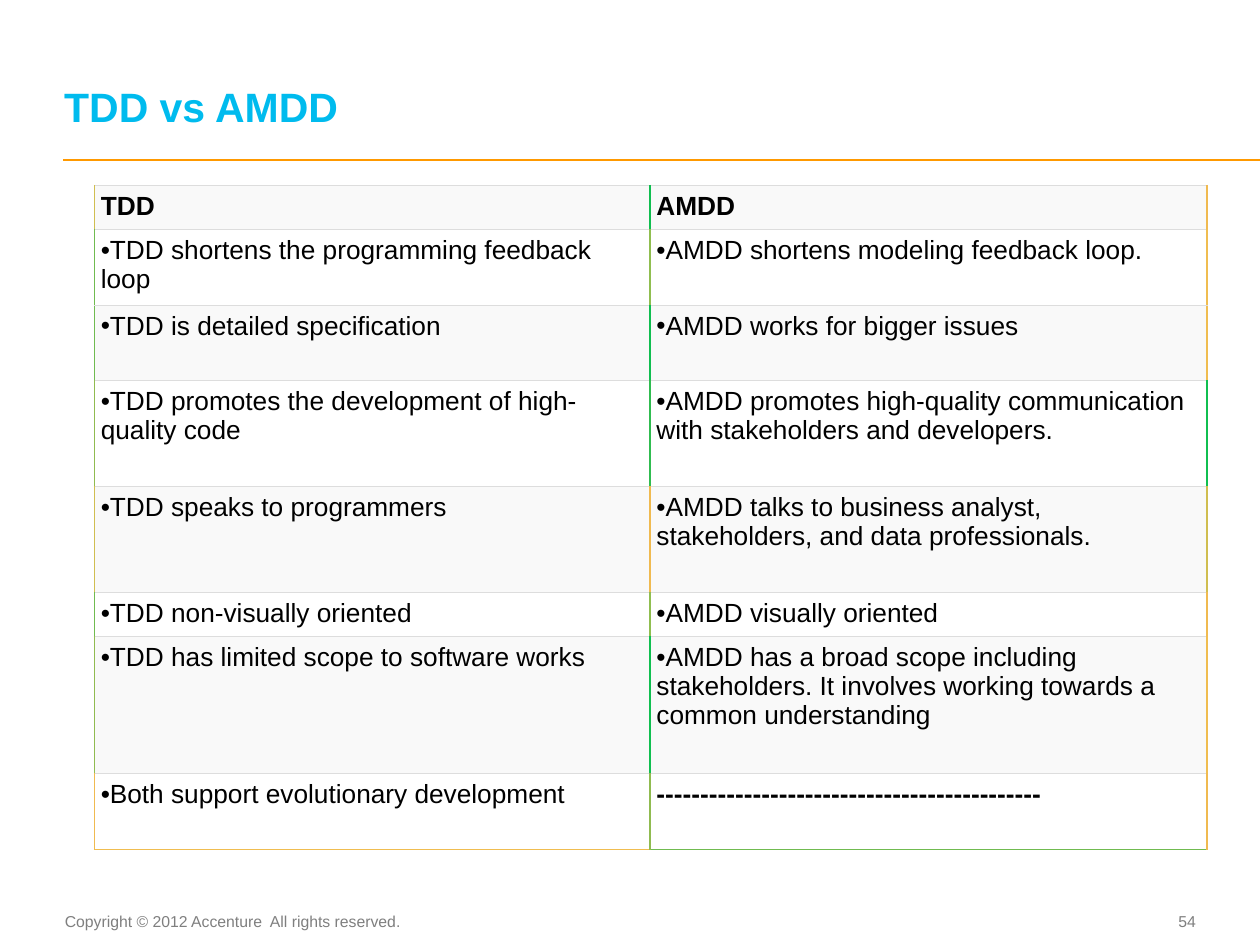
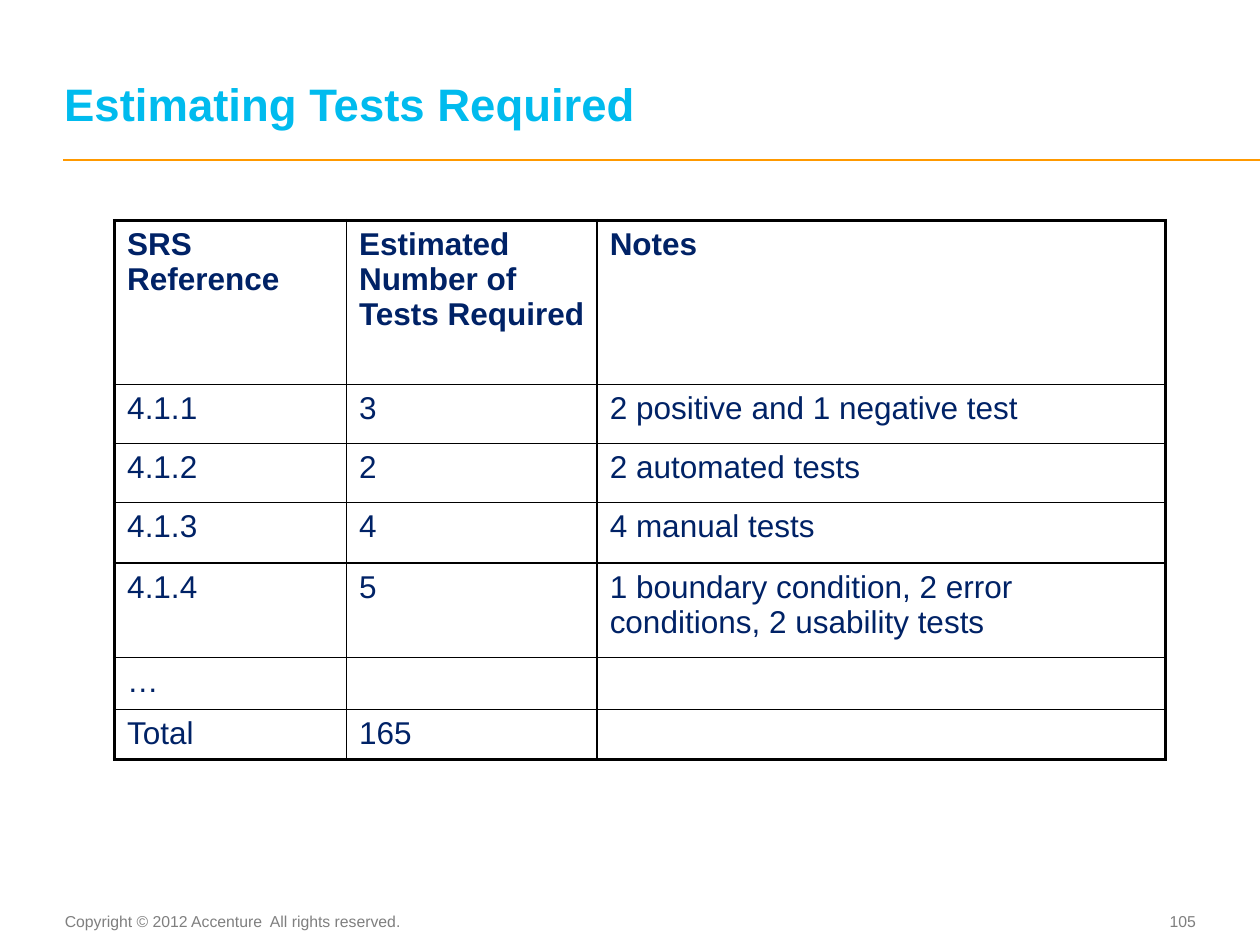
import pptx
import pptx.dml.color
import pptx.enum.shapes
import pptx.enum.text
import pptx.oxml
import pptx.util
from pptx.oxml.ns import nsdecls
from pptx.util import Inches

ALIGN = pptx.enum.text.PP_ALIGN
ANCHOR = pptx.enum.text.MSO_ANCHOR

CYAN, ORANGE, GREY, BLACK, NAVY = "00BBEE", "FF9900", "7F7F7F", "000000", "002266"
WHITE, PALE, RULE = "FFFFFF", "F9F9F9", "DDDDDD"
FONT = "Arial"
NOTICE = "Copyright © 2012 Accenture  All rights reserved."

VERSUS = [
    ("TDD", "AMDD"),
    ("TDD shortens the programming feedback loop",
     "AMDD shortens modeling feedback loop."),
    ("TDD is detailed specification", "AMDD works for bigger issues"),
    ("TDD promotes the development of high-quality code",
     "AMDD promotes high-quality communication with stakeholders and developers."),
    ("TDD speaks to programmers",
     "AMDD talks to business analyst, stakeholders, and data professionals."),
    ("TDD non-visually oriented", "AMDD visually oriented"),
    ("TDD has limited scope to software works",
     "AMDD has a broad scope including stakeholders. "
     "It involves working towards a common understanding"),
    ("Both support evolutionary development", "-" * 44),
]
# Left, middle and right edge colours of each row
EDGES = [
    ("D0BE50", "10BE50", "F0BA50"),
    ("70BB50", "90BE50", "F0BD50"),
    ("70BB50", "10BE50", "F0BD50"),
    ("90BB50", "30BC50", "10BF50"),
    ("D0BE50", "F0BA50", "D0BE50"),
    ("70BB50", "90BE50", "F0BA50"),
    ("90BB50", "10BF50", "F0BD50"),
    ("F0BA50", "90BB50", "F0BA50"),
]
FEET = ("F0BD50", "70BB50")

TESTS = [
    ("SRS Reference", "Estimated Number of Tests Required", "Notes"),
    ("4.1.1", "3", "2 positive and 1 negative test"),
    ("4.1.2", "2", "2 automated tests"),
    ("4.1.3", "4", "4 manual tests"),
    ("4.1.4", "5", "1 boundary condition, 2 error conditions, 2 usability tests"),
    ("…", "", ""),
    ("Total", "165", ""),
]


def color(code):
    return pptx.dml.color.RGBColor.from_string(code)


def assign(target, values):
    for name, value in values.items():
        setattr(target, name, value)


def write(para, text, size, code, bold=False):
    run = para.add_run()
    run.text = text
    assign(run.font, {"name": FONT, "size": pptx.util.Pt(size), "bold": bold})
    run.font.color.rgb = color(code)


def add_text(slide, box, text, size, code, bold=False, align=ALIGN.LEFT,
             pads=(0, 0, 0, 0), anchor=ANCHOR.TOP, lead=None):
    frame = slide.shapes.add_textbox(*map(Inches, box)).text_frame
    left, top, right, base = map(Inches, pads)
    assign(frame, {"word_wrap": True, "vertical_anchor": anchor,
                   "margin_left": left, "margin_top": top,
                   "margin_right": right, "margin_bottom": base})
    para = frame.paragraphs[0]
    para.alignment = align
    if lead:
        para.line_spacing = pptx.util.Pt(lead)
    write(para, text, size, code, bold)


def add_page(deck, title, size, number):
    """Add a slide with the shared rule, footer and title."""
    slide = deck.slides.add_slide(deck.slide_layouts[6])
    line = slide.shapes.add_connector(
        pptx.enum.shapes.MSO_CONNECTOR.STRAIGHT,
        *map(Inches, (0.5, 1.27, 10, 1.27)))
    line.line.color.rgb = color(ORANGE)
    line.line.width = pptx.util.Pt(1)
    line._element.spPr.append(
        pptx.oxml.parse_xml(f"<a:effectLst {nsdecls('a')}/>"))
    add_text(slide, (0.49, 7.19, 2.81, 0.25), NOTICE, 9, GREY,
             align=ALIGN.CENTER, pads=(0, 0.05, 0.1, 0.05))
    add_text(slide, (8.9, 7.18, 0.59, 0.27), str(number), 9, GREY,
             align=ALIGN.RIGHT, anchor=ANCHOR.MIDDLE)
    add_text(slide, (0.51, 0.18, 8.97, 0.86), title, size, CYAN, bold=True,
             anchor=ANCHOR.BOTTOM, lead=26)
    return slide


def add_grid(slide, left, top, cols, rows):
    """Add a plain table with the given column widths and row heights."""
    table = slide.shapes.add_table(
        len(rows), len(cols),
        *map(Inches, (left, top, sum(cols), sum(rows)))).table
    assign(table, {"first_row": False, "horz_banding": False})
    for col, width in zip(table.columns, cols):
        col.width = Inches(width)
    for row, height in zip(table.rows, rows):
        row.height = Inches(height)
    return table


def border(cell, **sides):
    """Draw sides L, R, T and B, in that order, each a (colour, points) pair."""
    props = cell._tc.get_or_add_tcPr()
    for side, (code, width) in sides.items():
        props.append(pptx.oxml.parse_xml(
            f'<a:ln{side} {nsdecls("a")} w="{pptx.util.Pt(width)}">'
            f'<a:solidFill><a:srgbClr val="{code}"/></a:solidFill></a:ln{side}>'))


def bullet(para):
    props = para._p.get_or_add_pPr()
    for name in ("marL", "indent"):
        props.set(name, "0")
    for tag in (f'buFont {nsdecls("a")} typeface="{FONT}"',
                f'buChar {nsdecls("a")} char="•"'):
        props.append(pptx.oxml.parse_xml(f"<a:{tag}/>"))


def add_versus(slide):
    heights = (0.35, 0.6, 0.6, 0.84, 0.84, 0.35, 1.09, 0.6)
    table = add_grid(slide, 0.75, 1.47, (4.41, 4.42), heights)
    pad = Inches(0.05)
    last = len(VERSUS) - 1
    for i, (texts, edges) in enumerate(zip(VERSUS, EDGES)):
        for j, text in enumerate(texts):
            cell = table.cell(i, j)
            assign(cell, {"margin_left": pad, "margin_right": pad,
                          "margin_top": pad, "margin_bottom": pad})
            border(cell, L=(edges[j], 1), R=(edges[j + 1], 1), T=(RULE, 0.6),
                   B=(FEET[j], 1) if i == last else (RULE, 0.6))
            cell.fill.solid()
            cell.fill.fore_color.rgb = color(WHITE if i % 2 else PALE)
            plain = i > 0 and not text.startswith("-")
            para = cell.text_frame.paragraphs[0]
            if plain:
                bullet(para)
            write(para, text, 15, BLACK, bold=not plain)


def add_tests(slide):
    heights = (1.3, 0.47, 0.47, 0.48, 0.75, 0.41, 0.38)
    table = add_grid(slide, 0.91, 1.75, (1.84, 1.99, 4.51), heights)
    last, end = len(TESTS) - 1, len(TESTS[0]) - 1
    for i, texts in enumerate(TESTS):
        for j, text in enumerate(texts):
            cell = table.cell(i, j)
            outer = {"L": j == 0, "R": j == end, "T": i == 0, "B": i == last}
            border(cell, **{side: (BLACK, 2.25 if edge else 1)
                            for side, edge in outer.items()})
            cell.fill.background()
            if text:
                write(cell.text_frame.paragraphs[0], text, 18, NAVY, bold=i == 0)


def main():
    deck = pptx.Presentation()
    assign(deck, {"slide_width": Inches(10), "slide_height": Inches(7.5)})
    add_versus(add_page(deck, "TDD vs AMDD", 23.4, 54))
    add_tests(add_page(deck, "Estimating Tests Required", 26, 105))
    deck.save("out.pptx")


if __name__ == "__main__":
    main()
